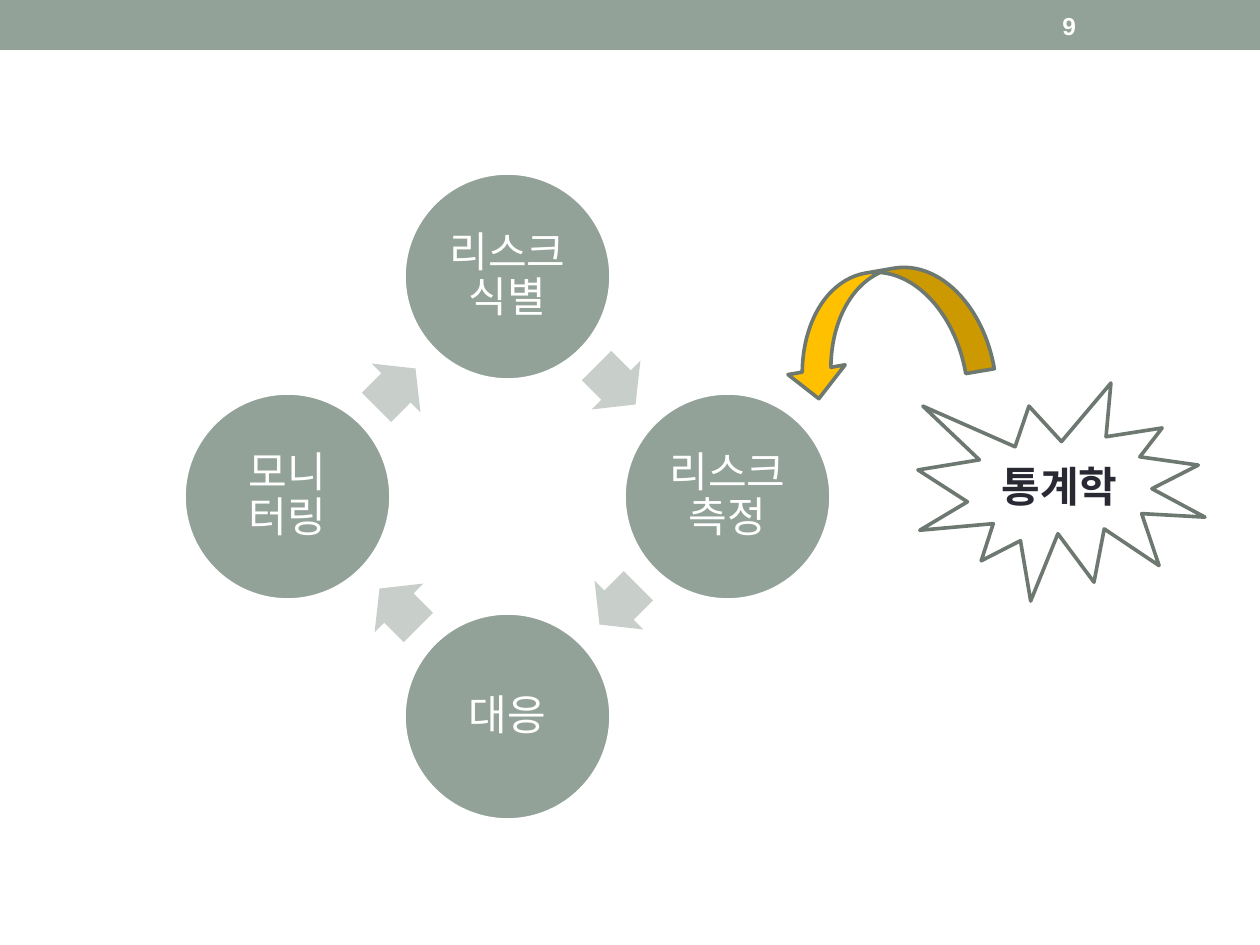
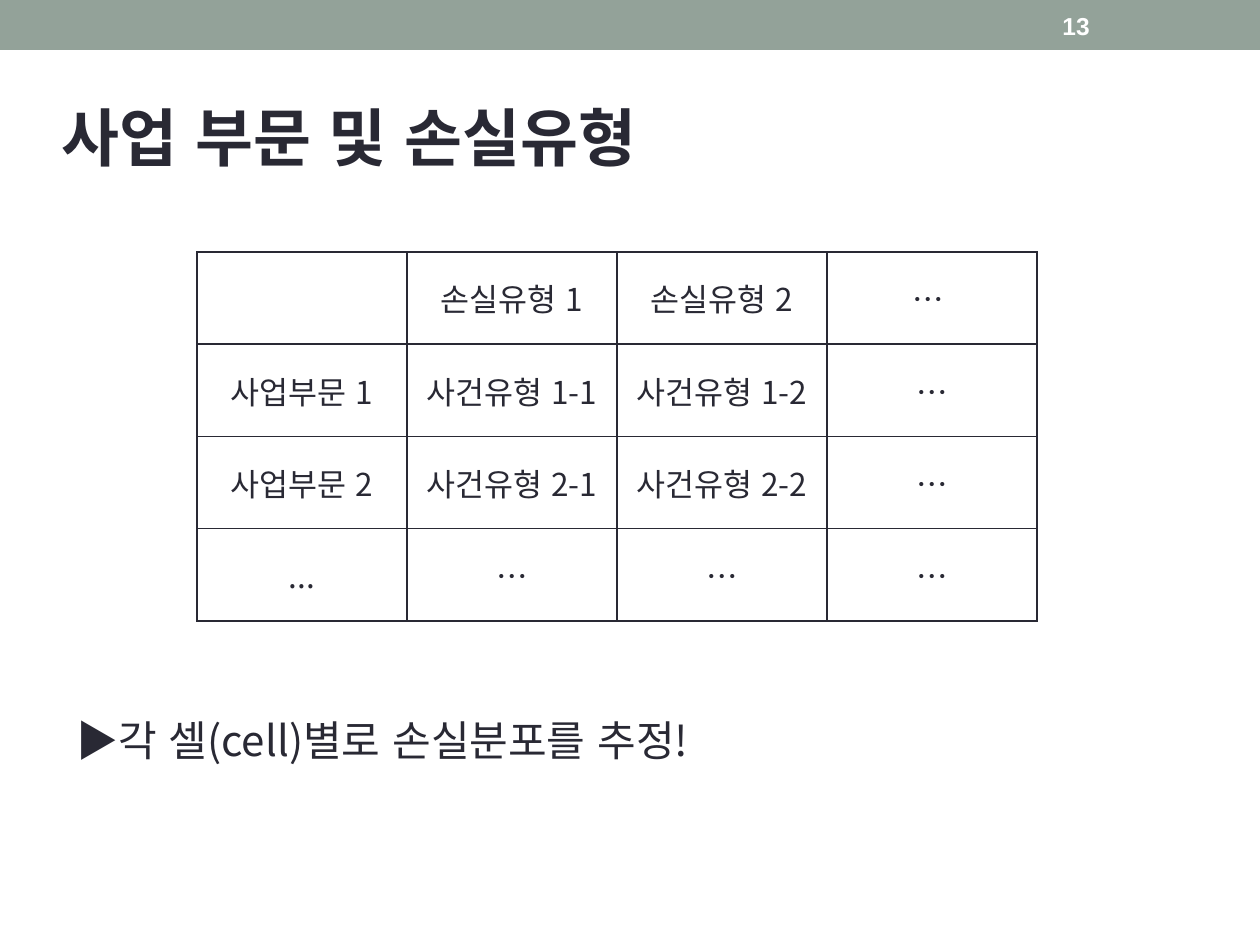
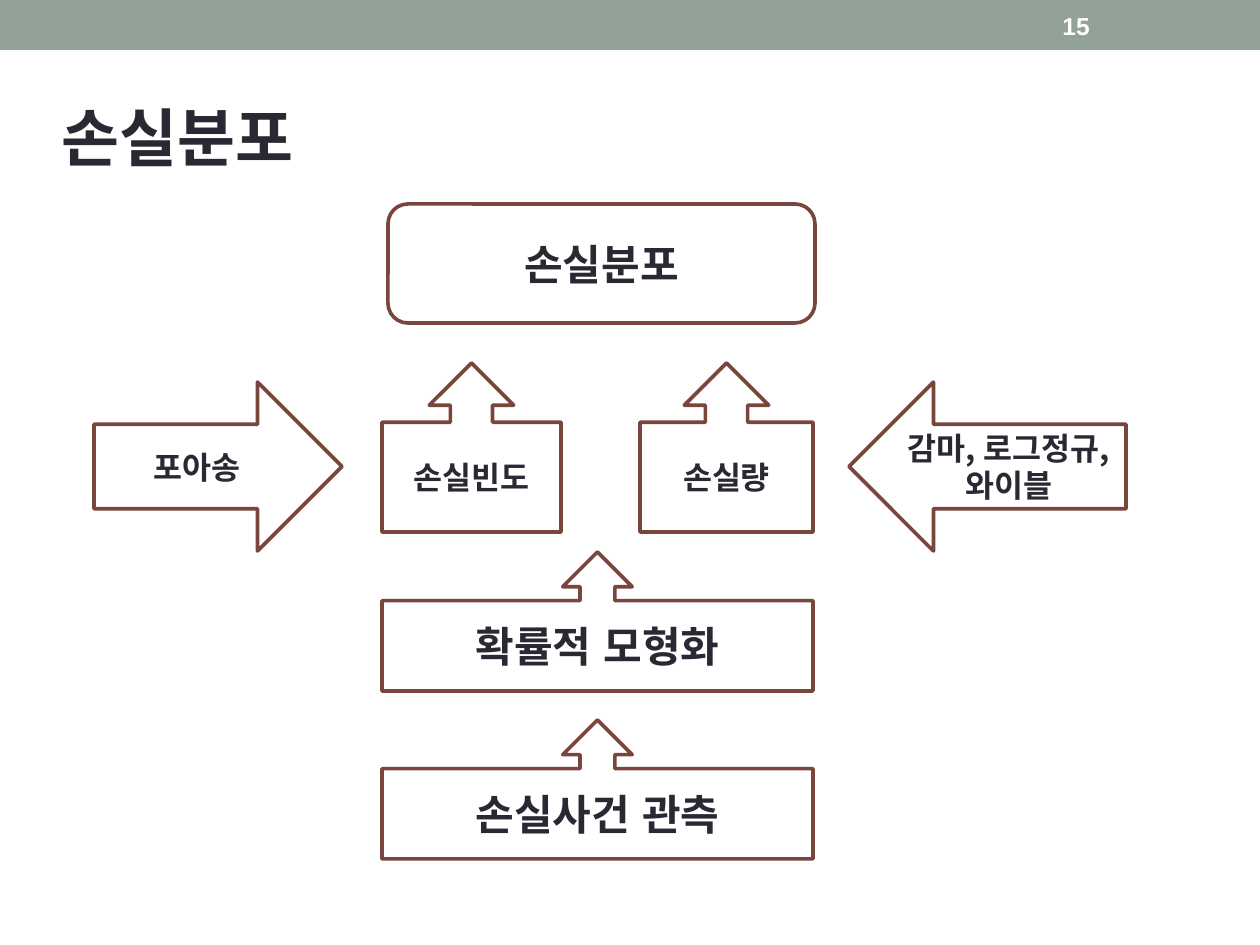
from math import cos, radians, sin

from lxml.etree import SubElement
from pptx import Presentation
from pptx.dml.color import RGBColor
from pptx.enum.lang import MSO_LANGUAGE_ID as LANG
from pptx.enum.shapes import MSO_SHAPE as SHAPE
from pptx.enum.text import MSO_ANCHOR as ANCHOR, MSO_AUTO_SIZE as AUTO, PP_ALIGN as ALIGN
from pptx.oxml.ns import qn
from pptx.util import Emu, Pt

SAGE = RGBColor(0x93, 0xA2, 0x99)
PALE_SAGE = RGBColor(0xC8, 0xCE, 0xCA)
DARK_SAGE = RGBColor(0x6D, 0x78, 0x71)
INK = RGBColor(0x29, 0x29, 0x34)
WHITE = RGBColor(0xFF, 0xFF, 0xFF)
GOLD = RGBColor(0xFF, 0xC0, 0x00)
BROWN = RGBColor(0x79, 0x46, 0x3D)

SCALE = 914400 / 126
WIDTH, HEIGHT = 1260, 945
KOREAN = "Noto Sans CJK KR"
LATIN = "Arial"
LINE_WIDTH = Pt(2.08)
TITLE_ONLY, BLANK = 5, 6

TITLE = {"size": Pt(36), "bold": True}
NUMBER = {"size": Pt(14), "bold": True, "name": LATIN}
LARGE = {"size": Pt(24), "bold": True}
SMALL = {"size": Pt(18), "bold": True}
PLAIN_LARGE = {"size": Pt(24), "bold": False}
PLAIN_SMALL = {"size": Pt(18), "bold": False}


def px(n):
    return Emu(round(n * SCALE))


def emu_box(box):
    return [px(n) for n in box]


def set_all(target, values):
    for name, value in values.items():
        setattr(target, name, value)


def write(tf, text, font, color=INK, align=ALIGN.CENTER, **paragraph):
    set_all(tf, {"word_wrap": True, "vertical_anchor": ANCHOR.MIDDLE})
    p = tf.paragraphs[0]
    set_all(p, {"alignment": align, **paragraph})
    r = p.add_run()
    r.text = text
    set_all(r.font, {"name": KOREAN, "language_id": LANG.KOREAN, **font})
    r.font.color.rgb = color
    SubElement(r._r.get_or_add_rPr(), qn("a:ea"), typeface=r.font.name)


def add_shape(shapes, kind, box, fill=None, line=None):
    sp = shapes.add_shape(kind, *emu_box(box))
    sp.shadow.inherit = False
    if fill is None:
        sp.fill.background()
    else:
        sp.fill.solid()
        sp.fill.fore_color.rgb = fill
    if line is None:
        sp.line.fill.background()
    else:
        sp.line.color.rgb = line
        sp.line.width = LINE_WIDTH
    return sp


def add_text(s, box, text, font, **style):
    sp = s.shapes.add_textbox(*emu_box(box))
    write(sp.text_frame, text, font, align=ALIGN.LEFT, **style)


def add_slide(prs, number, title=None):
    s = prs.slides.add_slide(prs.slide_layouts[TITLE_ONLY if title else BLANK])
    add_shape(s.shapes, SHAPE.RECTANGLE, (0, 0, WIDTH, 50), SAGE)
    add_text(s, (1050, 3, 147, 45), number, NUMBER, color=WHITE)
    if title:
        sp = s.shapes.title
        set_all(sp, dict(zip(("left", "top", "width", "height"), emu_box((49, 77, 1106, 118)))))
        sp.text_frame.auto_size = AUTO.NONE
        write(sp.text_frame, title, TITLE, align=ALIGN.LEFT)
    return s


def add_cycle(s, box, steps):
    x, y, w, h = box
    cx, cy = x + w / 2, y + h / 2
    diameter, arrow_w, arrow_h = 207, 55, 69
    orbit = (w - diameter) / 2
    arrow_orbit, arrow_setback = orbit * cos(radians(45)), 2
    shapes = s.shapes.add_group_shape().shapes
    turn = 360 / len(steps)
    for i, step in enumerate(steps):
        angle = radians(i * turn - 90)
        left = cx + orbit * cos(angle) - diameter / 2
        top = cy + orbit * sin(angle) - diameter / 2
        sp = add_shape(shapes, SHAPE.OVAL, (left, top, diameter, diameter), SAGE, WHITE)
        tf = sp.text_frame
        set_all(tf, dict.fromkeys(("margin_left", "margin_top", "margin_right", "margin_bottom"), px(4)))
        write(tf, step, PLAIN_LARGE, WHITE, line_spacing=0.9)

        heading = (i + 0.5) * turn
        out, ahead = radians(heading - 90), radians(heading)
        ax = cx + arrow_orbit * cos(out) - arrow_setback * cos(ahead)
        ay = cy + arrow_orbit * sin(out) - arrow_setback * sin(ahead)
        arrow = add_shape(shapes, SHAPE.RIGHT_ARROW,
                          (ax - arrow_w / 2, ay - arrow_h / 2, arrow_w, arrow_h), PALE_SAGE)
        arrow.rotation = heading
        arrow.adjustments[0] = 0.6


def add_statistics(s, box):
    x, y, w, h = box
    arrow = add_shape(s.shapes, SHAPE.CURVED_UP_ARROW, (x, y, 207, 116), GOLD, DARK_SAGE)
    arrow.rotation = 170.3
    burst = add_shape(s.shapes, SHAPE.EXPLOSION1, (x + w - 287, y + h - 218, 287, 218), line=DARK_SAGE)
    write(burst.text_frame, "통계학", LARGE)


def add_border(cell):
    tcPr = cell._tc.get_or_add_tcPr()
    for i, side in enumerate(("lnL", "lnR", "lnT", "lnB")):
        ln = tcPr.makeelement(qn(f"a:{side}"), {"w": str(Pt(1))})
        SubElement(SubElement(ln, qn("a:solidFill")), qn("a:srgbClr"), val=str(INK))
        tcPr.insert(i, ln)


def add_loss_table(s, box, rows):
    table = s.shapes.add_table(len(rows), len(rows[0]), *emu_box(box)).table
    set_all(table, {"first_row": False, "horz_banding": False})
    for i, row in enumerate(rows):
        for j, text in enumerate(row):
            cell = table.cell(i, j)
            cell.vertical_anchor = ANCHOR.MIDDLE
            cell.fill.background()
            add_border(cell)
            if text:
                write(cell.text_frame, text, PLAIN_SMALL)


def add_loss_model(s, box):
    x, y, w, h = box
    up = SHAPE.UP_ARROW_CALLOUT
    parts = (
        (up, (288, 159, 179, 169), "손실빈도", SMALL),
        (up, (546, 159, 173, 169), "손실량", SMALL),
        (SHAPE.ROUNDED_RECTANGLE, (294, 0, 427, 119), "손실분포", LARGE),
        (up, (288, 348, 431, 139), "확률적 모형화", LARGE),
        (up, (288, h - 139, 431, 139), "손실사건 관측", LARGE),
        (SHAPE.RIGHT_ARROW, (0, 178, 248, 169), "포아송", SMALL),
        (SHAPE.LEFT_ARROW, (w - 277, 178, 277, 169), "감마, 로그정규, 와이블", SMALL),
    )
    for kind, (dx, dy, pw, ph), text, font in parts:
        sp = add_shape(s.shapes, kind, (x + dx, y + dy, pw, ph), WHITE, BROWN)
        write(sp.text_frame, text, font)


def main():
    prs = Presentation()
    set_all(prs, {"slide_width": px(WIDTH), "slide_height": px(HEIGHT)})

    s = add_slide(prs, "9")
    add_cycle(s, (184, 173, 647, 647), ("리스크식별", "리스크측정", "대응", "모니 터링"))
    add_statistics(s, (779, 271, 426, 330))

    s = add_slide(prs, "13", "사업 부문 및 손실유형")
    add_loss_table(s, (197, 252, 840, 369), (
        ("", "손실유형 1", "손실유형 2", "… "),
        ("사업부문 1", "사건유형 1-1", "사건유형 1-2", "…"),
        ("사업부문 2", "사건유형 2-1", "사건유형 2-2", "…"),
        ("...", "…", "…", "…"),
    ))
    add_text(s, (64, 674, 1137, 107), "▶각 셀(cell)별로 손실분포를 추정!", PLAIN_LARGE, line_spacing=1.5)

    s = add_slide(prs, "15", "손실분포")
    add_loss_model(s, (94, 204, 1032, 655))

    prs.save("out.pptx")


if __name__ == "__main__":
    main()
